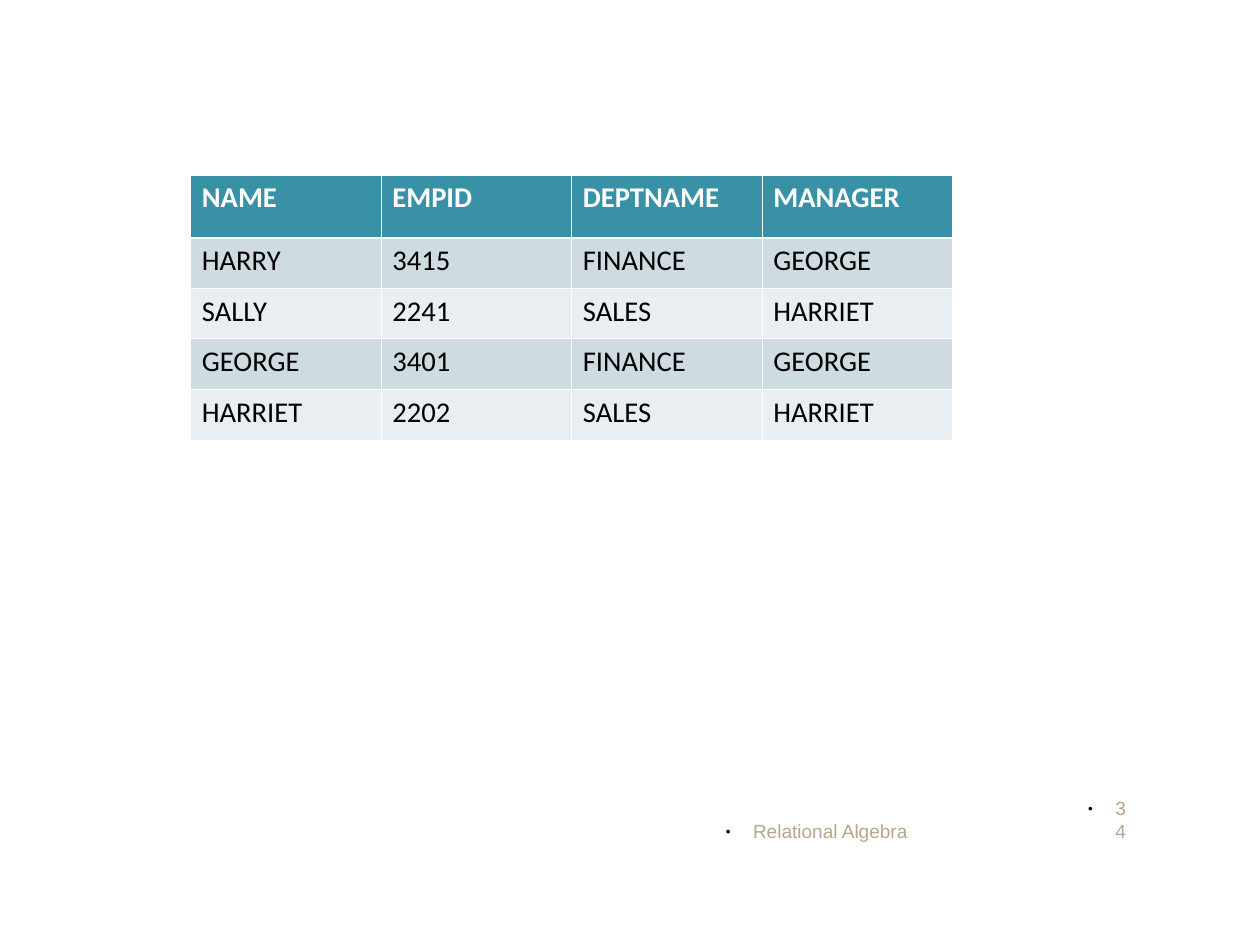
"""Build a slide with an employee table and a footer."""
import pptx
import pptx.dml.color
import pptx.enum.text
import pptx.oxml
import pptx.oxml.ns
import pptx.util

WIDTH, HEIGHT = pptx.util.Cm(28), pptx.util.Cm(21)
EMPLOYEES = [
    ("NAME", "EMPID", "DEPTNAME", "MANAGER"),
    ("HARRY", "3415", "FINANCE", "GEORGE"),
    ("SALLY", "2241", "SALES", "HARRIET"),
    ("GEORGE", "3401", "FINANCE", "GEORGE"),
    ("HARRIET", "2202", "SALES", "HARRIET"),
]
FOOTER = [("Relational Algebra", 3.17), ("34", 0.5)]
FOOTER_LEFT, FOOTER_TOP, FOOTER_HEIGHT = 6.25, 6.9, 0.52
COLUMN_WIDTH = 5 / 3
TABLE_LEFT, TABLE_TOP, TABLE_HEIGHT = COLUMN_WIDTH, 1.53, 2.32
HEADER_HEIGHT = 0.55
HEADER_FILL, BAND_FILLS = "3891A7", ("E8EEF1", "CEDCE1")
THIN, THICK = 0.45, 1.47
INDENT = 0.24
HEADER_FONT = {"name": "Calibri", "size": pptx.util.Pt(18), "bold": True}
BODY_FONT = {**HEADER_FONT, "bold": False}
FOOTER_FONT = {"name": "Arial", "size": pptx.util.Pt(12)}
BULLET = (
    '<a:buClr {ns}><a:srgbClr val="000000"/></a:buClr>',
    '<a:buSzPct {ns} val="45000"/>',
    '<a:buFont {ns} typeface="Arial"/>',
    '<a:buChar {ns} char="●"/>',
)
BORDER = ('<a:{side} {ns} w="{width}"><a:solidFill><a:srgbClr val="FFFFFF"/>'
          '</a:solidFill></a:{side}>')


def paint(target, color):
    """Give a fill a solid colour."""
    target.solid()
    target.fore_color.rgb = pptx.dml.color.RGBColor.from_string(color)


def format_font(font, values, color):
    """Set the attributes and colour of a font."""
    for name, value in values.items():
        setattr(font, name, value)
    paint(font.fill, color)


def append_xml(parent, template, **values):
    """Append a drawing element made from a template."""
    namespace = pptx.oxml.ns.nsdecls("a")
    parent.append(pptx.oxml.parse_xml(template.format(ns=namespace, **values)))


def add_footer(page):
    """Place the footer boxes side by side."""
    left = FOOTER_LEFT
    for text, width in FOOTER:
        box = page.shapes.add_textbox(*map(
            pptx.util.Inches, (left, FOOTER_TOP, width, FOOTER_HEIGHT)))
        frame = box.text_frame
        frame.word_wrap = True
        frame.vertical_anchor = pptx.enum.text.MSO_ANCHOR.BOTTOM
        para = frame.paragraphs[0]
        properties = para._p.get_or_add_pPr()
        properties.set("marL", str(pptx.util.Inches(INDENT)))
        properties.set("indent", str(pptx.util.Inches(-INDENT)))
        for template in BULLET:
            append_xml(properties, template)
        span = para.add_run()
        span.text = text
        format_font(span.font, FOOTER_FONT, "B5A788")
        left += width


def add_employees(page):
    """Add the table with a header row and banded rows."""
    body_rows = len(EMPLOYEES) - 1
    row_height = (TABLE_HEIGHT - HEADER_HEIGHT) / body_rows
    heights = [HEADER_HEIGHT] + [row_height] * body_rows
    columns = len(EMPLOYEES[0])
    table = page.shapes.add_table(len(EMPLOYEES), columns, *map(
        pptx.util.Inches,
        (TABLE_LEFT, TABLE_TOP, COLUMN_WIDTH * columns, TABLE_HEIGHT))).table
    for column in table.columns:
        column.width = pptx.util.Inches(COLUMN_WIDTH)
    for index, (record, height) in enumerate(zip(EMPLOYEES, heights)):
        table.rows[index].height = pptx.util.Inches(height)
        header = index == 0
        widths = {"lnL": THIN, "lnR": THIN,
                  "lnT": THICK if index == 1 else THIN,
                  "lnB": THICK if header else THIN}
        for cell, text in zip(table.rows[index].cells, record):
            for side, width in widths.items():
                append_xml(cell._tc.get_or_add_tcPr(), BORDER, side=side,
                           width=int(pptx.util.Pt(width)))
            paint(cell.fill, HEADER_FILL if header else BAND_FILLS[index % 2])
            span = cell.text_frame.paragraphs[0].add_run()
            span.text = text
            format_font(span.font, HEADER_FONT if header else BODY_FONT,
                        "FFFFFF" if header else "000000")


def main():
    """Build and save the deck."""
    deck = pptx.Presentation()
    deck.slide_width, deck.slide_height = WIDTH, HEIGHT
    page = deck.slides.add_slide(deck.slide_layouts.get_by_name("Blank"))
    paint(page.background.fill, "FFFFFF")
    add_footer(page)
    add_employees(page)
    deck.save("out.pptx")


if __name__ == "__main__":
    main()
